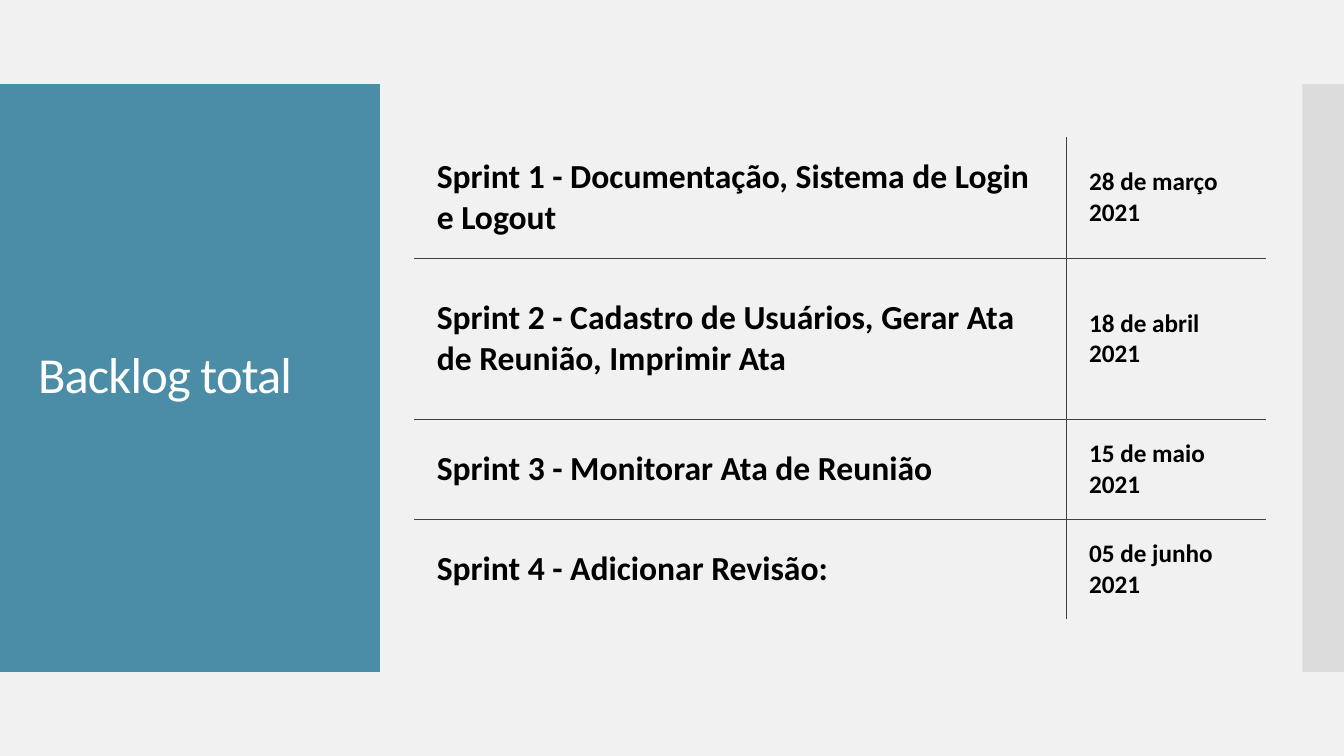
import pptx
import pptx.dml.color
import pptx.enum.shapes
import pptx.enum.text
import pptx.oxml.ns
import pptx.util
from lxml import etree

Pt = pptx.util.Pt
RGBColor = pptx.dml.color.RGBColor
qn = pptx.oxml.ns.qn
MIDDLE = pptx.enum.text.MSO_ANCHOR.MIDDLE

BACKGROUND = RGBColor(0xF1, 0xF1, 0xF1)
TEAL = RGBColor(0x4B, 0x8D, 0xA7)
GREY = RGBColor(0xC8, 0xC8, 0xC8)
CELL = RGBColor(0xF2, 0xF2, 0xF2)
RULE = RGBColor(0x40, 0x40, 0x40)
WHITE = RGBColor(0xFF, 0xFF, 0xFF)
BLACK = RGBColor(0, 0, 0)

SPRINTS = [
    ("Sprint 1 - Documentação, Sistema de Login e Logout", "28 de março 2021", 86.4),
    ("Sprint 2 - Cadastro de Usuários, Gerar Ata de Reunião, Imprimir Ata",
     "18 de abril 2021", 115.2),
    ("Sprint 3 - Monitorar Ata de Reunião", "15 de maio 2021", 71.3),
    ("Sprint 4 - Adicionar Revisão:", "05 de junho 2021", 71.3),
]
COLUMNS = [(466, 24), (142.4, 18)]  # width, text size


def write(frame, text, size, color, bold=False, line_spacing=None, tracking=None):
    paragraph = frame.paragraphs[0]
    paragraph.alignment = pptx.enum.text.PP_ALIGN.LEFT
    if line_spacing:
        paragraph.line_spacing = line_spacing
    run = paragraph.add_run()
    run.text = text
    run.font.name = "Calibri"
    run.font.size = Pt(size)
    run.font.bold = bold
    run.font.color.rgb = color
    if tracking:
        run.font._element.set("spc", str(round(tracking * 100)))


def fill_with(fill, color, opacity=100):
    fill.solid()
    fill.fore_color.rgb = color
    if opacity < 100:
        tint = fill._xPr.find(qn("a:solidFill"))[0]
        etree.SubElement(tint, qn("a:alpha"), val=str(opacity * 1000))


class BacklogSlide:
    def __init__(self, deck):
        self.slide = deck.slides.add_slide(deck.slide_layouts[5])
        fill_with(self.slide.background.fill, BACKGROUND)

    def panel(self, left, top, width, height, color, opacity=100):
        shape = self.slide.shapes.add_shape(
            pptx.enum.shapes.MSO_SHAPE.RECTANGLE,
            Pt(left), Pt(top), Pt(width), Pt(height))
        shape.shadow.inherit = False
        shape.line.fill.background()
        fill_with(shape.fill, color, opacity)

    def title(self, text, left, top, width, height):
        heading = self.slide.shapes.title
        heading.left, heading.top = Pt(left), Pt(top)
        heading.width, heading.height = Pt(width), Pt(height)
        heading.text_frame.vertical_anchor = MIDDLE
        heading.text_frame.word_wrap = True
        write(heading.text_frame, text, 36, WHITE, line_spacing=0.9, tracking=-0.6)
        # Bring the heading in front of its panel
        self.slide.shapes._spTree.append(heading._element)

    def borders(self, cell, visible):
        properties = cell._tc.get_or_add_tcPr()
        for index, side in enumerate("LRTB"):
            line = etree.Element(qn("a:ln" + side), w=str(Pt(0.5)))
            if side in visible:
                paint = etree.SubElement(line, qn("a:solidFill"))
                etree.SubElement(paint, qn("a:srgbClr"), val=str(RULE))
            else:
                etree.SubElement(line, qn("a:noFill"))
            properties.insert(index, line)

    def schedule(self, left, top, sprints):
        width = sum(column[0] for column in COLUMNS)
        height = sum(sprint[2] for sprint in sprints)
        table = self.slide.shapes.add_table(
            len(sprints), len(COLUMNS), Pt(left), Pt(top), Pt(width), Pt(height)).table
        table.first_row = table.horz_banding = False
        for column, (column_width, _) in zip(table.columns, COLUMNS):
            column.width = Pt(column_width)
        for row, (task, deadline, row_height) in enumerate(sprints):
            table.rows[row].height = Pt(row_height)
            for col, text in enumerate((task, deadline)):
                cell = table.cell(row, col)
                cell.vertical_anchor = MIDDLE
                cell.margin_left, cell.margin_right = Pt(16), Pt(16.5)
                cell.margin_top = cell.margin_bottom = Pt(12)
                fill_with(cell.fill, CELL, 30)
                write(cell.text_frame, text, COLUMNS[col][1], BLACK, bold=True)
                # Inner rules only
                visible = "L" if col else "R"
                visible += "T" if row else ""
                visible += "B" if row < len(sprints) - 1 else ""
                self.borders(cell, visible)


def main():
    deck = pptx.Presentation()
    deck.slide_width, deck.slide_height = Pt(960), Pt(540)
    backlog = BacklogSlide(deck)

    # Side panels
    backlog.panel(0, 60, 271.4, 420, TEAL)
    backlog.panel(930.4, 60, 29.6, 420, GREY, opacity=50)

    # Heading and sprint dates
    backlog.title("Backlog total", 20, 88.5, 232, 362)
    backlog.schedule(296, 98, SPRINTS)

    deck.save("out.pptx")


if __name__ == "__main__":
    main()
